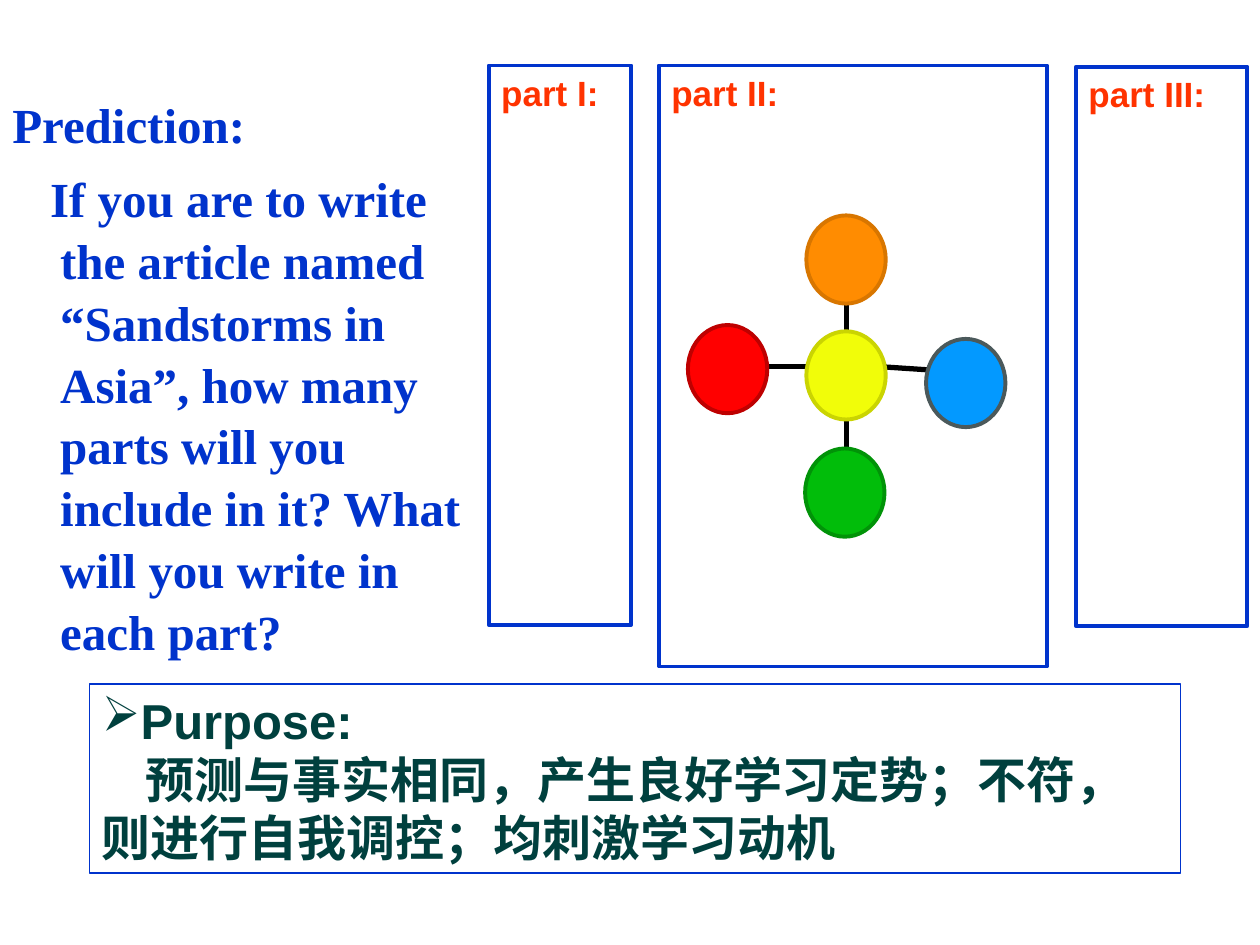
from lxml import etree
from pptx import Presentation
from pptx.dml.color import RGBColor
from pptx.enum import shapes, text
from pptx.oxml import ns
from pptx.util import Inches, Pt

BLUE = RGBColor(0x00, 0x33, 0xCC)
TEAL = RGBColor(0x00, 0x40, 0x3E)
LABEL = RGBColor(0xFF, 0x33, 0x00)
BLACK = RGBColor(0x00, 0x00, 0x00)
RED, RED_EDGE = RGBColor(0xFF, 0x00, 0x00), RGBColor(0xBE, 0x00, 0x00)
GREEN, GREEN_EDGE = RGBColor(0x01, 0xBD, 0x0A), RGBColor(0x01, 0x93, 0x08)
SKY, SKY_EDGE = RGBColor(0x03, 0x99, 0xFF), RGBColor(0x4B, 0x59, 0x5B)
ORANGE, ORANGE_EDGE = RGBColor(0xFF, 0x8C, 0x01), RGBColor(0xD8, 0x76, 0x00)
YELLOW, YELLOW_EDGE = RGBColor(0xF1, 0xFD, 0x09), RGBColor(0xCA, 0xD4, 0x02)

prs = Presentation()
prs.slide_width, prs.slide_height = Inches(10), Inches(7.5)
s = prs.slides.add_slide(prs.slide_layouts[6])


def add_shape(kind, x, y, w, h, line, width, fill=None):
    sp = s.shapes.add_shape(kind, Inches(x), Inches(y), Inches(w), Inches(h))
    sp.shadow.inherit = False
    if fill is None:
        sp.fill.background()
    else:
        sp.fill.solid()
        sp.fill.fore_color.rgb = fill
    sp.line.color.rgb = line
    sp.line.width = Pt(width)
    tf = sp.text_frame
    tf.word_wrap = True
    tf.vertical_anchor = text.MSO_ANCHOR.TOP
    return sp


def add_run(p, words, size, font, color):
    p.alignment = text.PP_ALIGN.LEFT
    r = p.add_run()
    r.text = words
    r.font.size = Pt(size)
    r.font.name = font
    r.font.bold = True
    r.font.color.rgb = color


question = s.shapes.add_textbox(Inches(0), Inches(0.68), Inches(3.9), Inches(5.12))
tf = question.text_frame
tf.word_wrap = True
for i, (words, indent) in enumerate([
    ("Prediction:", -0.38),
    ("If you are to write the article named “Sandstorms in Asia”, how many parts "
     "will you include in it? What will you write in each part?", -0.08),
]):
    p = tf.add_paragraph() if i else tf.paragraphs[0]
    p.line_spacing = 1.05
    p.space_before = Pt(7 if i else 0)
    pPr = p._p.get_or_add_pPr()
    pPr.set("marL", str(Inches(0.38)))
    pPr.set("indent", str(Inches(indent)))
    add_run(p, words, 28, "Times New Roman", BLUE)

purpose = add_shape(shapes.MSO_SHAPE.RECTANGLE, 0.71, 5.43, 8.66, 1.5, BLUE, 0.75)
tf = purpose.text_frame
p = tf.paragraphs[0]
pPr = p._p.get_or_add_pPr()
color = etree.SubElement(etree.SubElement(pPr, ns.qn("a:buClr")), ns.qn("a:srgbClr"))
color.set("val", str(TEAL))
etree.SubElement(pPr, ns.qn("a:buChar")).set("char", "➢")
add_run(p, "Purpose:", 28, "Arial", TEAL)
p = tf.add_paragraph()
p._p.get_or_add_pPr().set("indent", str(Inches(0.35)))
add_run(p, "预测与事实相同，产生良好学习定势；不符，则进行自我调控；均刺激学习动机",
        28, "Arial", TEAL)

for label, x, y, w, h in [
    ("part I:", 3.88, 0.52, 1.13, 4.44),
    ("part II:", 5.23, 0.52, 3.08, 4.77),
    ("part III:", 8.54, 0.53, 1.36, 4.44),
]:
    sp = add_shape(shapes.MSO_SHAPE.RECTANGLE, x, y, w, h, BLUE, 2.25)
    add_run(sp.text_frame.paragraphs[0], label, 20, "Arial", LABEL)

for x1, y1, x2, y2 in [
    (6.59, 2.91, 6.09, 2.91),
    (6.72, 3, 6.72, 3.69),
    (6.98, 2.91, 7.59, 2.95),
    (6.72, 2.69, 6.72, 2),
]:
    spoke = s.shapes.add_connector(shapes.MSO_CONNECTOR.STRAIGHT,
                                   Inches(x1), Inches(y1), Inches(x2), Inches(y2))
    spoke.line.color.rgb = BLACK
    spoke.line.width = Pt(3)
    etree.SubElement(spoke._element.spPr, ns.qn("a:effectLst"))

for x, y, fill, edge in [
    (5.46, 2.58, RED, RED_EDGE),
    (6.39, 3.56, GREEN, GREEN_EDGE),
    (7.35, 2.69, SKY, SKY_EDGE),
    (6.4, 1.71, ORANGE, ORANGE_EDGE),
    (6.4, 2.63, YELLOW, YELLOW_EDGE),
]:
    add_shape(shapes.MSO_SHAPE.OVAL, x, y, 0.63, 0.7, edge, 2.25, fill)

prs.save("out.pptx")
